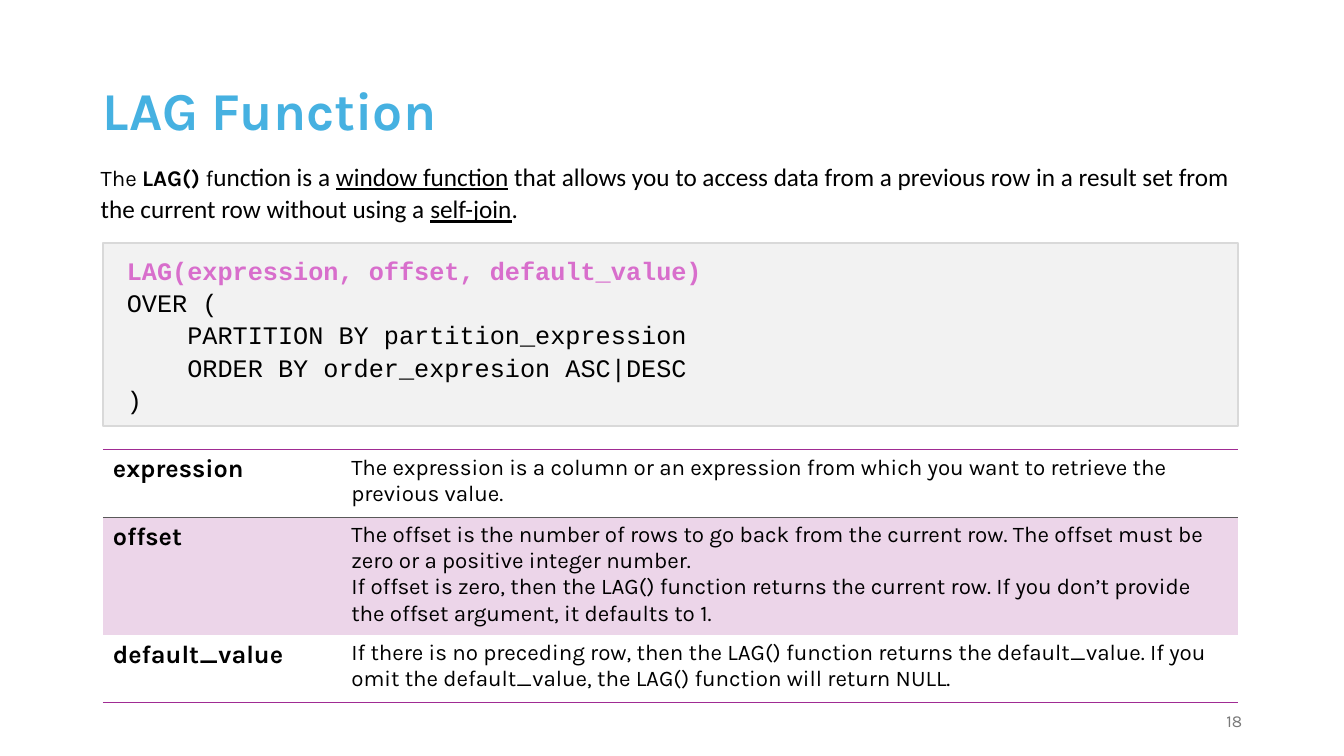
from pptx import Presentation
from pptx.dml.color import RGBColor
from pptx.enum.shapes import MSO_SHAPE
from pptx.enum.text import MSO_ANCHOR, PP_ALIGN
from pptx.oxml import parse_xml
from pptx.oxml.ns import nsdecls
from pptx.util import Inches, Pt

RECT = MSO_SHAPE.RECTANGLE
TOP, MIDDLE = MSO_ANCHOR.TOP, MSO_ANCHOR.MIDDLE
LEFT, RIGHT = PP_ALIGN.LEFT, PP_ALIGN.RIGHT

COLORS = {
    "title": "46B1E1", "text": "000000", "number": "797979",
    "code": "D86ECC", "panel": "F2F2F2", "panel_line": "D9D9D9",
    "rule": "A02B93", "row_rule": "595959", "band": "ECD5E9",
}
KARLA = {"name": "Karla", "size": Pt(16), "bold": False}
LABEL = {"name": "Karla", "size": Pt(18), "bold": True}
CALIBRI = {"name": "Calibri", "size": Pt(18)}
CODE = {"name": "Courier New", "size": Pt(18), "bold": False}

MARGIN, CONTENT_W = 1.02, 11.26

INTRO = [
    ("The ", KARLA), ("LAG() ", {**KARLA, "bold": True}), ("f", KARLA),
    ("unction is a ", CALIBRI), ("window function", {**CALIBRI, "underline": True}),
    (" that allows you to access data from a previous row in a result set from "
     "the current row without using a ", CALIBRI),
    ("self-join", {**CALIBRI, "underline": True}), (".", CALIBRI),
]
SYNTAX = [
    "LAG(expression, offset, default_value)",
    "OVER (",
    "    PARTITION BY partition_expression",
    "    ORDER BY order_expresion ASC|DESC",
    ")",
]
# label, description paragraphs, row height
ARGUMENTS = [
    ("expression",
     ["The expression is a column or an expression from which you want to "
      "retrieve the previous value."], 0.67),
    ("offset",
     ["The offset is the number of rows to go back from the current row. The "
      "offset must be zero or a positive integer number.",
      "If offset is zero, then the LAG() function returns the current row. If "
      "you don’t provide the offset argument, it defaults to 1."], 1.17),
    ("default_value",
     ["If there is no preceding row, then the LAG() function returns the "
      "default_value. If you omit the default_value, the LAG() function will "
      "return NULL."], 0.67),
]


def rgb(key):
    return RGBColor.from_string(COLORS[key])


def add_run(p, text, style, color="text"):
    r = p.add_run()
    r.text = text
    for name, value in style.items():
        setattr(r.font, name, value)
    r.font.color.rgb = rgb(color)


def write(tf, paragraphs, color="text", **layout):
    """Fill a text frame with paragraphs, each a list of (text, style[, color])."""
    for i, runs in enumerate(paragraphs):
        p = tf.paragraphs[0] if i == 0 else tf.add_paragraph()
        for name, value in layout.items():
            setattr(p, name, value)
        for text, style, *own in runs:
            add_run(p, text, style, *(own or [color]))


def add_text(slide, box, paragraphs, anchor=TOP, **layout):
    tf = slide.shapes.add_textbox(*map(Inches, box)).text_frame
    tf.word_wrap = True
    tf.vertical_anchor = anchor
    write(tf, paragraphs, **layout)


def set_title(slide, box, text):
    title = slide.shapes.title
    title.left, title.top, title.width, title.height = map(Inches, box)
    title.text_frame.vertical_anchor = MIDDLE
    style = {"name": "Karla", "size": Pt(38), "bold": True}
    write(title.text_frame, [[(text, style)]], "title",
          alignment=LEFT, line_spacing=0.9)


def add_code_panel(slide, box, lines):
    x, y, w, h = box
    sp = slide.shapes.add_shape(RECT, *map(Inches, box))
    sp.shadow.inherit = False
    sp.fill.solid()
    sp.fill.fore_color.rgb = rgb("panel")
    sp.line.color.rgb = rgb("panel_line")
    sp.line.width = Pt(1.5)
    first, *rest = lines
    paragraphs = [[(first, {**CODE, "bold": True}, "code")]]
    paragraphs += [[(line, CODE)] for line in rest]
    add_text(slide, (x + 0.14, y + 0.05, w - 1.55, h - 0.1), paragraphs,
             line_spacing=1.07)


def set_borders(cell, **rules):
    """Draw the given sides (T, B) as (color, points) and clear the others."""
    tcPr = cell._tc.get_or_add_tcPr()
    for side in "LRTB":
        if side in rules:
            color, points = rules[side]
            size = f'w="{Pt(points)}"'
            fill = f'<a:solidFill><a:srgbClr val="{COLORS[color]}"/></a:solidFill>'
        else:
            size, fill = 'w="0"', "<a:noFill/>"
        tcPr.append(parse_xml(f'<a:ln{side} {nsdecls("a")} {size}>{fill}</a:ln{side}>'))


def add_argument_table(slide, box, arguments):
    x, y, w = box
    height = sum(row[2] for row in arguments)
    last = len(arguments) - 1
    table = slide.shapes.add_table(
        len(arguments), 2, *map(Inches, (x, y, w, height))).table
    table.first_row = table.horz_banding = False
    label_w = 0.21 * w
    for column, width in zip(table.columns, (label_w, w - label_w)):
        column.width = Inches(width)
    for i, (label, description, row_h) in enumerate(arguments):
        table.rows[i].height = Inches(row_h)
        rules = {}
        if i == 0:
            rules = {"T": ("rule", 1.5), "B": ("row_rule", 0.5)}
        elif i == 1:
            rules = {"T": ("row_rule", 0.5)}
        if i == last:
            rules["B"] = ("rule", 1.5)
        contents = ([[(label, LABEL)]], [[(text, KARLA)] for text in description])
        for cell, paragraphs in zip(table.rows[i].cells, contents):
            set_borders(cell, **rules)
            if i % 2:
                cell.fill.solid()
                cell.fill.fore_color.rgb = rgb("band")
            else:
                cell.fill.background()
            write(cell.text_frame, paragraphs)


def build_function_slide(prs):
    slide = prs.slides.add_slide(prs.slide_layouts[5])
    set_title(slide, (MARGIN - 0.1, 0.4, 11.5, 1.45), "LAG Function")
    add_text(slide, (0.9, 1.53, 11.5, 0.8), [INTRO], line_spacing=1.07)
    add_code_panel(slide, (MARGIN, 2.41, CONTENT_W, 1.82), SYNTAX)
    add_argument_table(slide, (MARGIN, 4.46, CONTENT_W), ARGUMENTS)
    add_text(slide, (9.42, 6.95, 3, 0.4),
             [[("18", {**KARLA, "size": Pt(12)}, "number")]], MIDDLE, alignment=RIGHT)


def main():
    prs = Presentation()
    prs.slide_width, prs.slide_height = Inches(13.33), Inches(7.5)
    build_function_slide(prs)
    prs.save("out.pptx")


if __name__ == "__main__":
    main()
